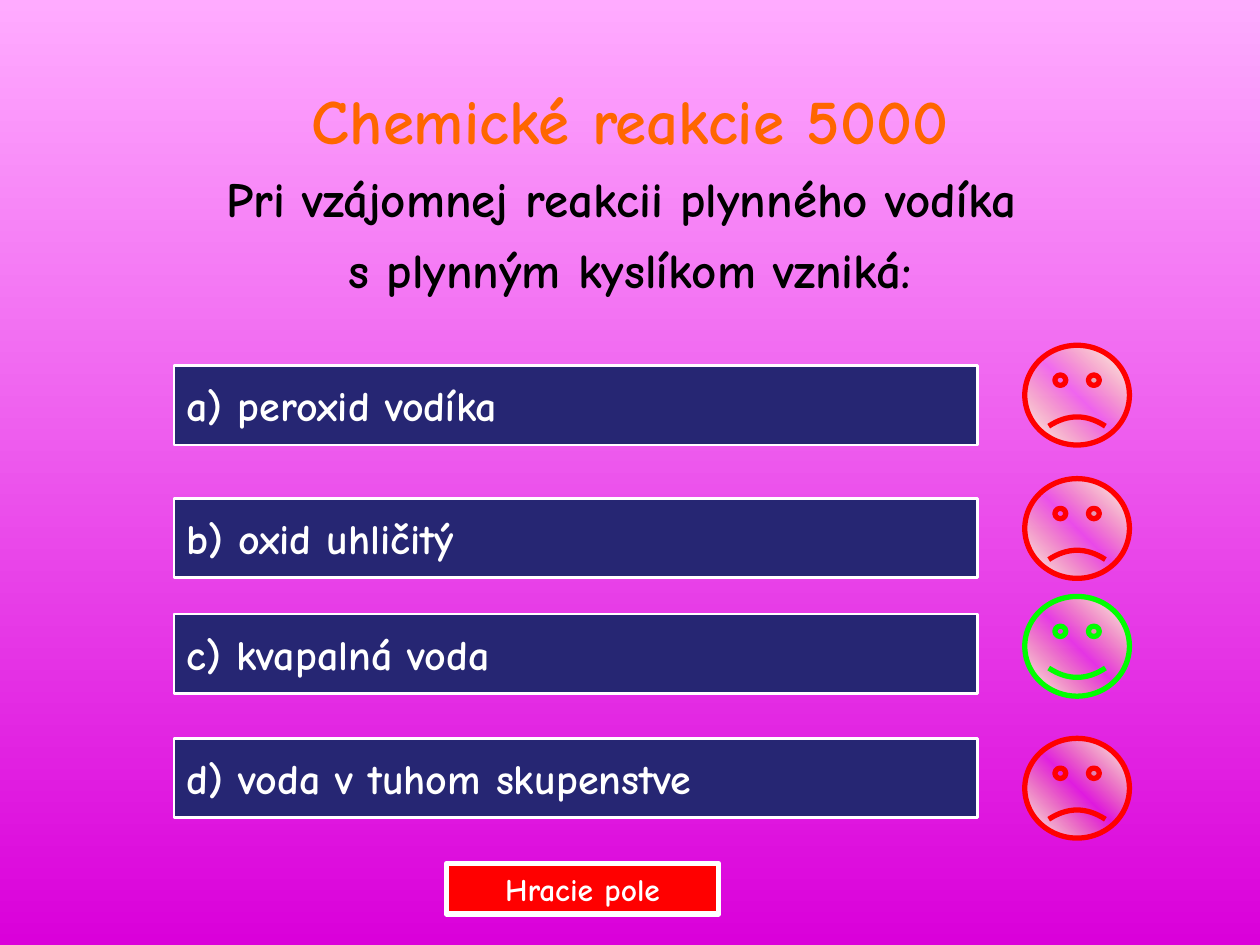
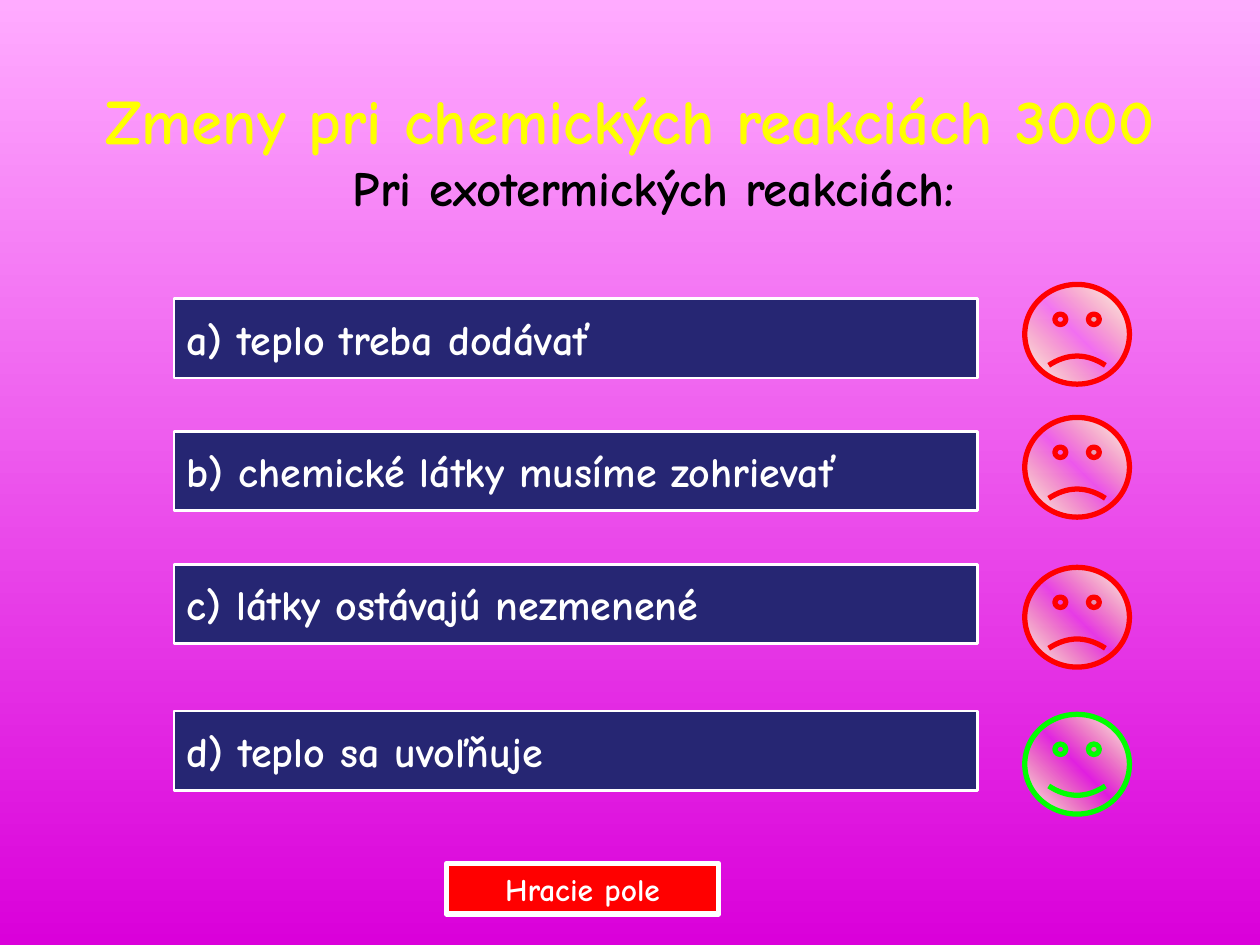
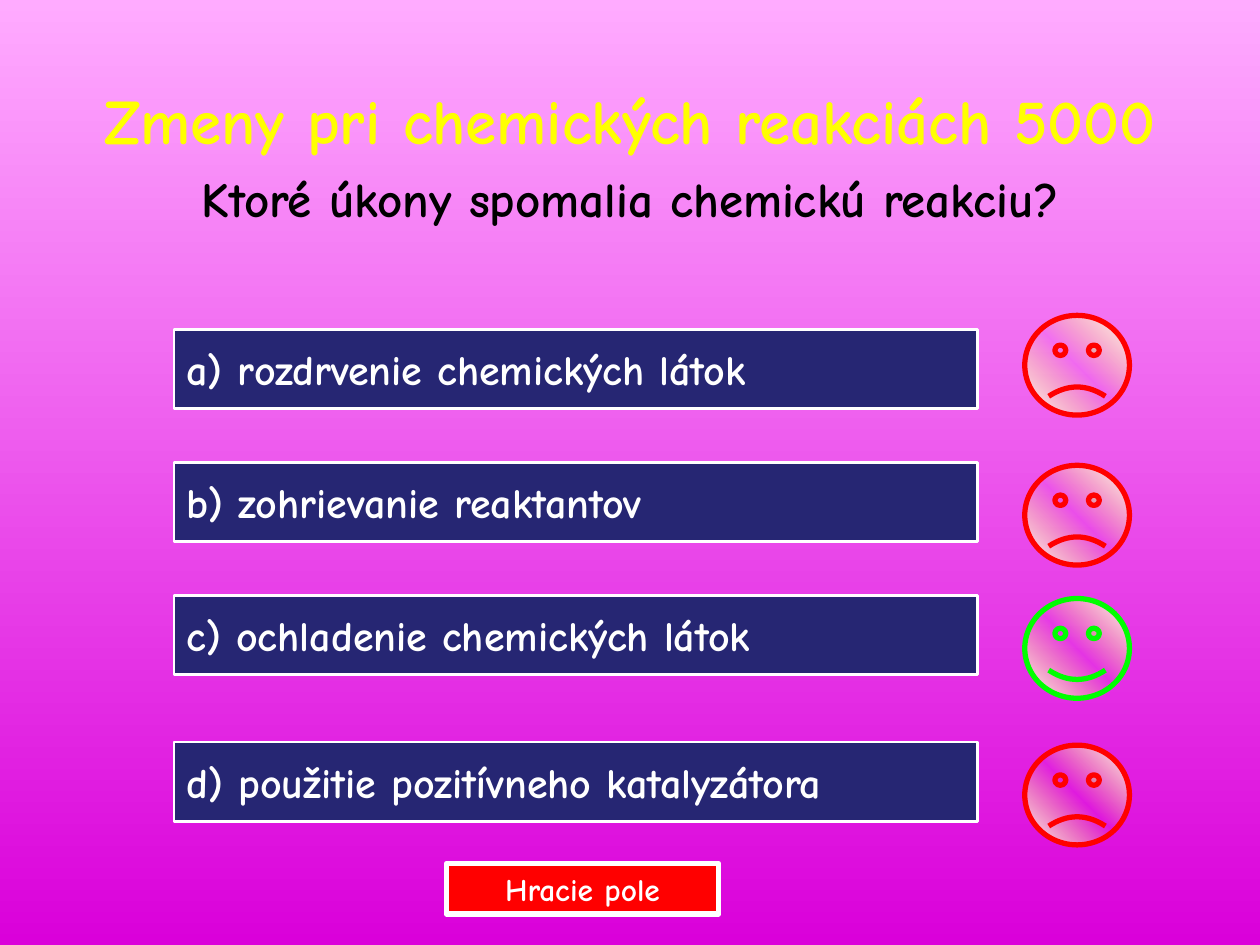
import pptx
import pptx.util
import pptx.dml.color
import pptx.enum.shapes
import pptx.enum.text
import pptx.oxml
import pptx.oxml.ns

Pt = pptx.util.Pt
SHAPE = pptx.enum.shapes.MSO_SHAPE
ALIGN = pptx.enum.text.PP_ALIGN
ANCHOR = pptx.enum.text.MSO_ANCHOR
FONT = "Comic Neue"
HUES = {
    "sky": "FFABFF", "ground": "DA00DA", "orange": "FF6600",
    "yellow": "FFFF00", "black": "000000", "white": "FFFFFF",
    "navy": "262673", "red": "FF0000", "green": "00FF00", "cream": "FFFF66",
}
GLOW = [(0, "white", 100), (50, "cream", 0), (100, "white", 100)]

SLIDES = [
    {
        "title": "Chemické reakcie 5000", "hue": "orange",
        "ask": ["Pri vzájomnej reakcii plynného vodíka ",
                "s plynným kyslíkom vzniká:"],
        "right": "c",
        "rows": [
            ("a) peroxid vodíka", 208.8, 197.3),
            ("b) oxid uhličitý", 284.7, 273.5),
            ("c) kvapalná voda", 350.8, 340.8),
            ("d) voda v tuhom skupenstve", 421.9, 421.9),
        ],
    },
    {
        "title": "Zmeny pri chemických reakciách 3000", "hue": "yellow",
        "ask": ["Pri exotermických reakciách:"],
        "look": {"before": 0, "hang": 0},
        "right": "d",
        "rows": [
            ("a) teplo treba dodávať", 170.6, 162.5),
            ("b) chemické látky musíme zohrievať", 246.5, 238.5),
            ("c) látky ostávajú nezmenené", 322.5, 324.2),
            ("d) teplo sa uvoľňuje", 406.4, 408.2),
        ],
    },
    {
        "title": "Zmeny pri chemických reakciách 5000", "hue": "yellow",
        "ask": ["Ktoré úkony spomalia chemickú reakciu?"],
        "right": "c",
        "rows": [
            ("a) rozdrvenie chemických látok", 188.2, 180.2),
            ("b) zohrievanie reaktantov", 264.2, 265.9),
            ("c) ochladenie chemických látok", 340.2, 342),
            ("d) použitie pozitívneho katalyzátora", 424.1, 425.8),
        ],
    },
]


def tint(name):
    return pptx.dml.color.RGBColor.from_string(HUES[name])


def write(para, text, size=24, hue="white", align=ALIGN.LEFT,
          before=0, indent=0, hang=0):
    props = para._p.get_or_add_pPr()
    props.set("marL", str(Pt(indent)))
    props.set("indent", str(-Pt(hang)))
    para.alignment = align
    para.space_before = Pt(before)
    run = para.add_run()
    run.text = text
    run.font.name = FONT
    run.font.size = Pt(size)
    run.font.bold = True
    run.font.color.rgb = tint(hue)


def place(slide, kind, left, top, width, height, line, weight):
    shape = slide.shapes.add_shape(kind, Pt(left), Pt(top), Pt(width), Pt(height))
    shape.shadow.inherit = False
    shape.line.color.rgb = tint(line)
    shape.line.width = Pt(weight)
    return shape


def button(slide, text, box, fill, weight, **look):
    shape = place(slide, SHAPE.ACTION_BUTTON_CUSTOM, *box, "white", weight)
    shape.fill.solid()
    shape.fill.fore_color.rgb = tint(fill)
    frame = shape.text_frame
    frame.word_wrap = True
    frame.vertical_anchor = ANCHOR.MIDDLE
    write(frame.paragraphs[0], text, **look)


def smiley(slide, top, happy):
    hue = "green" if happy else "red"
    shape = place(slide, SHAPE.SMILEY_FACE, 585.6, top, 59.8, 57, hue, 3)
    shape.adjustments[0] = 0.047 if happy else -0.047
    shape.fill.gradient()
    shape.fill.gradient_angle = 45
    stops = shape._element.spPr.find(".//" + pptx.oxml.ns.qn("a:gsLst"))
    for stop in list(stops):
        stops.remove(stop)
    for pos, name, alpha in GLOW:
        stops.append(pptx.oxml.parse_xml(
            f'<a:gs {pptx.oxml.ns.nsdecls("a")} pos="{pos * 1000}">'
            f'<a:srgbClr val="{HUES[name]}"><a:alpha val="{alpha * 1000}"/>'
            '</a:srgbClr></a:gs>'))


def header(slide, quiz):
    title = slide.shapes.title
    title.left, title.top, title.width, title.height = Pt(0), Pt(43.2), Pt(720), Pt(54)
    frame = title.text_frame
    frame.word_wrap = True
    frame.auto_size = pptx.enum.text.MSO_AUTO_SIZE.NONE
    frame.vertical_anchor = ANCHOR.TOP
    write(frame.paragraphs[0], quiz["title"], size=36, hue=quiz["hue"],
          align=ALIGN.CENTER, indent=27, hang=27)
    look = {"before": 6.5, "hang": 27} | quiz.get("look", {})
    for text in quiz["ask"]:
        write(frame.add_paragraph(), text, size=28, hue="black",
              align=ALIGN.CENTER, indent=27, **look)


def backdrop(master):
    fill = master.background.fill
    fill.gradient()
    fill.gradient_angle = 270
    for stop, name, pos in zip(fill.gradient_stops, ("sky", "ground"), (0, 1)):
        stop.color.rgb = tint(name)
        stop.position = pos


def main():
    deck = pptx.Presentation()
    deck.slide_width, deck.slide_height = Pt(720), Pt(540)
    backdrop(deck.slide_master)
    for quiz in SLIDES:
        slide = deck.slides.add_slide(deck.slide_layouts[5])
        header(slide, quiz)
        for text, top, face in quiz["rows"]:
            button(slide, text, (99.5, top, 459, 45.4), "navy", 1.5)
            smiley(slide, face, text[0] == quiz["right"])
        button(slide, "Hracie pole", (255, 493.5, 155.7, 28.8), "red", 3,
               size=18, align=ALIGN.CENTER)
    deck.save("out.pptx")


if __name__ == "__main__":
    main()
